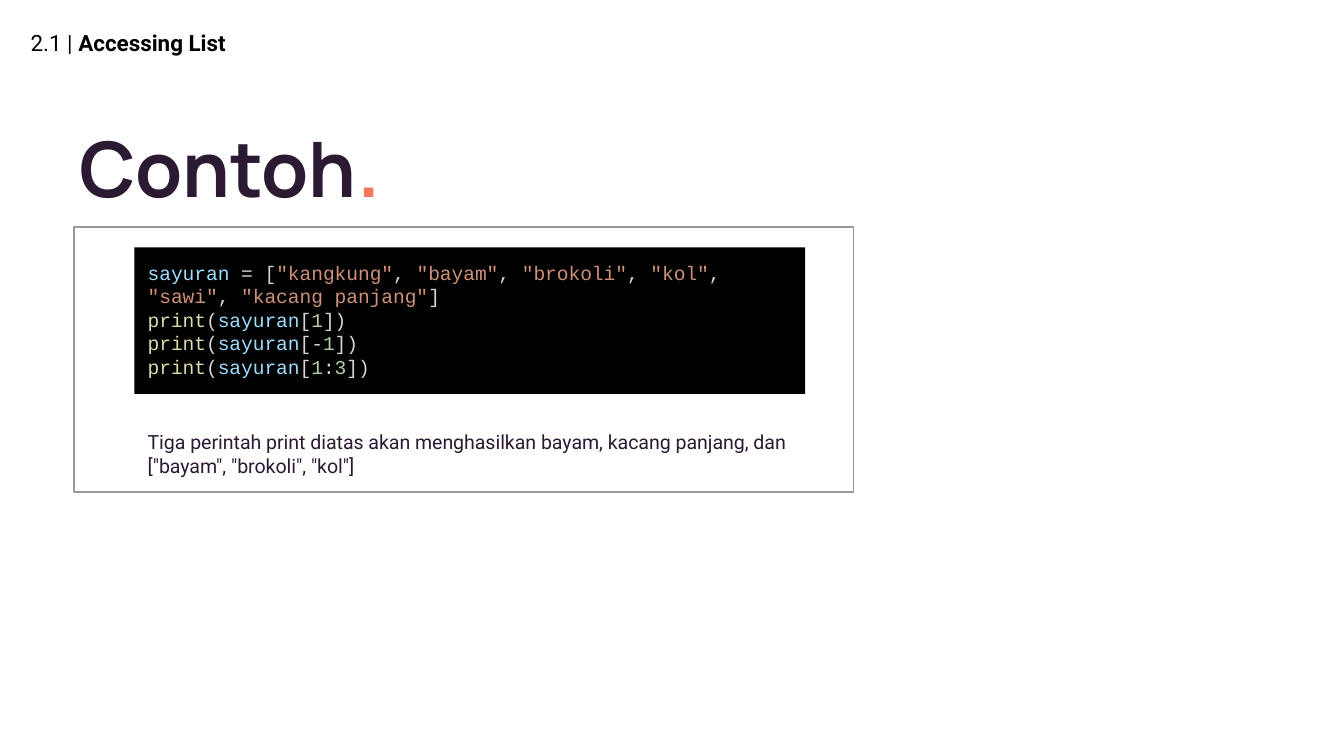
from pptx import Presentation
from pptx.dml.color import RGBColor
from pptx.enum import shapes, text
from pptx.util import Inches, Pt

COLORS = {
    "black": "000000", "plum": "2C1A32", "coral": "F07A5A", "border": "999999",
    "name": "9CDCFE", "mark": "D4D4D4", "string": "CE9178",
    "call": "DCDCAA", "number": "B5CEA8",
}
VEGETABLES = ["kangkung", "bayam", "brokoli", "kol", "sawi", "kacang panjang"]
INDEXES = [
    [("mark", "["), ("number", "1")],
    [("mark", "[-"), ("number", "1")],
    [("mark", "["), ("number", "1"), ("mark", ":"), ("number", "3")],
]


def color(name):
    """Return the named colour as RGB."""
    return RGBColor.from_string(COLORS[name])


def set_frame(shape, anchor=text.MSO_ANCHOR.TOP):
    """Give a shape's text frame wrapping, even margins and an anchor."""
    frame = shape.text_frame
    frame.word_wrap = True
    frame.vertical_anchor = anchor
    frame.margin_left = frame.margin_right = Inches(0.1)
    frame.margin_top = frame.margin_bottom = Inches(0.1)
    return frame


def add_box(page, box, anchor=text.MSO_ANCHOR.TOP):
    """Add a text box and return its text frame."""
    return set_frame(page.shapes.add_textbox(*map(Inches, box)), anchor)


def add_panel(page, box):
    """Add a plain rectangle without fill or line."""
    panel = page.shapes.add_shape(shapes.MSO_SHAPE.RECTANGLE, *map(Inches, box))
    panel.shadow.inherit = False
    panel.fill.background()
    panel.line.fill.background()
    return panel


def style(para, font, size, shade, bold=None):
    """Set a left-aligned paragraph's font."""
    para.alignment = text.PP_ALIGN.LEFT
    para.font.name, para.font.size = font, Pt(size)
    para.font.color.rgb = color(shade)
    para.font.bold = bold


def add_span(para, words):
    """Append a run to a paragraph and return it."""
    span = para.add_run()
    span.text = words
    return span


def add_header(page, box):
    """Add the section number and name."""
    para = add_box(page, box, text.MSO_ANCHOR.MIDDLE).paragraphs[0]
    style(para, "Roboto", 12, "black")
    add_span(para, "2.1 |")
    add_span(para, " Accessing List").font.bold = True


def add_title(page, box):
    """Add the large title with its coloured full stop."""
    para = add_box(page, box, text.MSO_ANCHOR.MIDDLE).paragraphs[0]
    style(para, "Manrope", 41, "plum", True)
    para.line_spacing = 0.8
    add_span(para, "Contoh")
    add_span(para, ".").font.color.rgb = color("coral")


def code_lines():
    """Return the code as lines of (kind, text) tokens."""
    listing = [("name", "sayuran"), ("mark", " = [")]
    for position, vegetable in enumerate(VEGETABLES):
        if position:
            listing.append(("mark", ", "))
        listing.append(("string", f'"{vegetable}"'))
    start = [("call", "print"), ("mark", "("), ("name", "sayuran")]
    prints = [start + index + [("mark", "])")] for index in INDEXES]
    return [listing + [("mark", "]")]] + prints


def add_code(page, box):
    """Add the black panel of coloured code."""
    panel = add_panel(page, box)
    panel.fill.solid()
    panel.fill.fore_color.rgb = color("black")
    frame = set_frame(panel)
    for number, tokens in enumerate(code_lines()):
        para = frame.add_paragraph() if number else frame.paragraphs[0]
        style(para, "Courier New", 10.5, "mark")
        for kind, words in tokens:
            add_span(para, words).font.color.rgb = color(kind)


def add_example(page, box):
    """Add the bordered example with its code and explanation."""
    left, top, width, height = box
    border = add_panel(page, box)
    border.line.color.rgb = color("border")
    border.line.width = Pt(0.75)
    inner_left, inner_width = left + 0.45, 4.99
    para = add_box(page, (inner_left, top + 1.41, inner_width, 0.56)).paragraphs[0]
    style(para, "Roboto", 10.5, "plum")
    add_span(para, "Tiga perintah print diatas akan menghasilkan bayam, "
                   'kacang panjang, dan ["bayam", "brokoli", "kol"]')
    add_code(page, (inner_left, top + 0.15, inner_width, 1.09))


def main():
    """Build and save the slide."""
    deck = Presentation()
    deck.slide_width = Inches(10)
    deck.slide_height = deck.slide_width * 9 // 16
    page = deck.slides.add_slide(deck.slide_layouts[6])
    add_header(page, (0.13, 0.07, 4.56, 0.5))
    add_title(page, (0.49, 0.52, 7.6, 1.57))
    add_example(page, (0.55, 1.69, 5.8, 1.97))
    deck.save("out.pptx")


if __name__ == "__main__":
    main()
